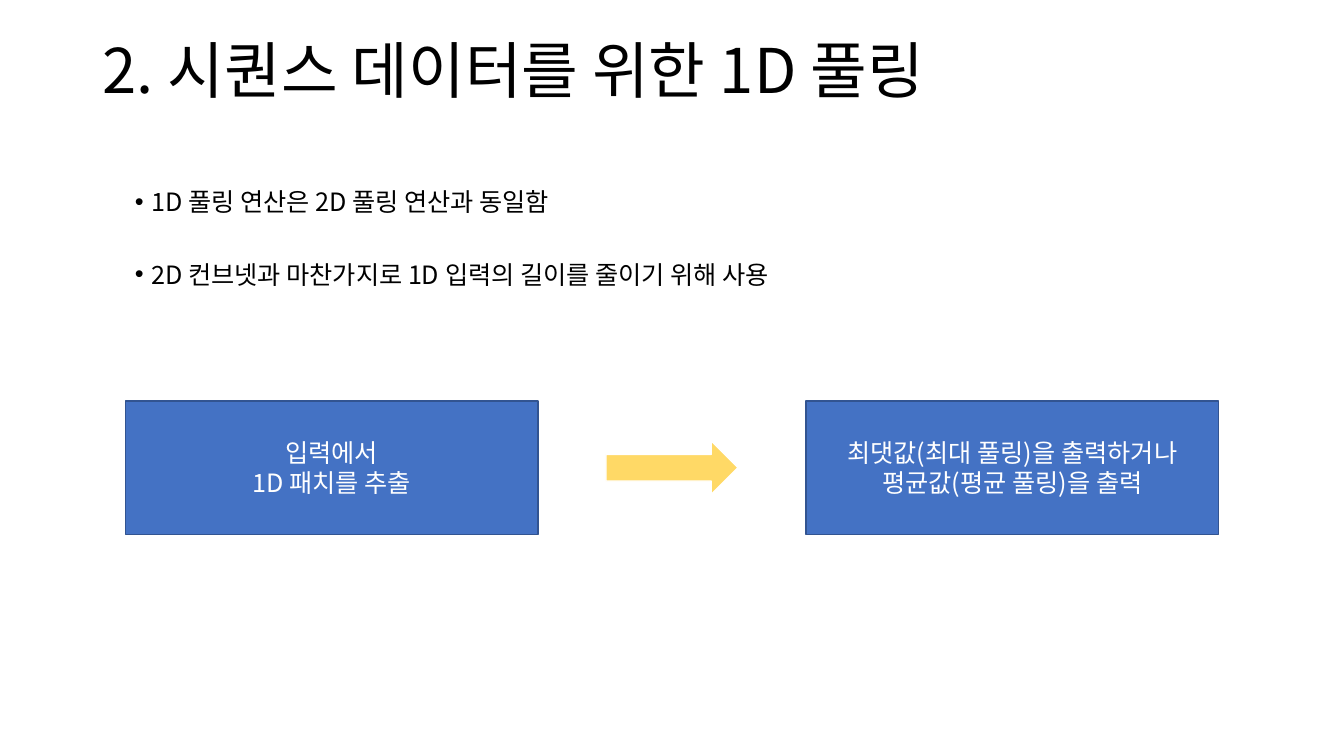
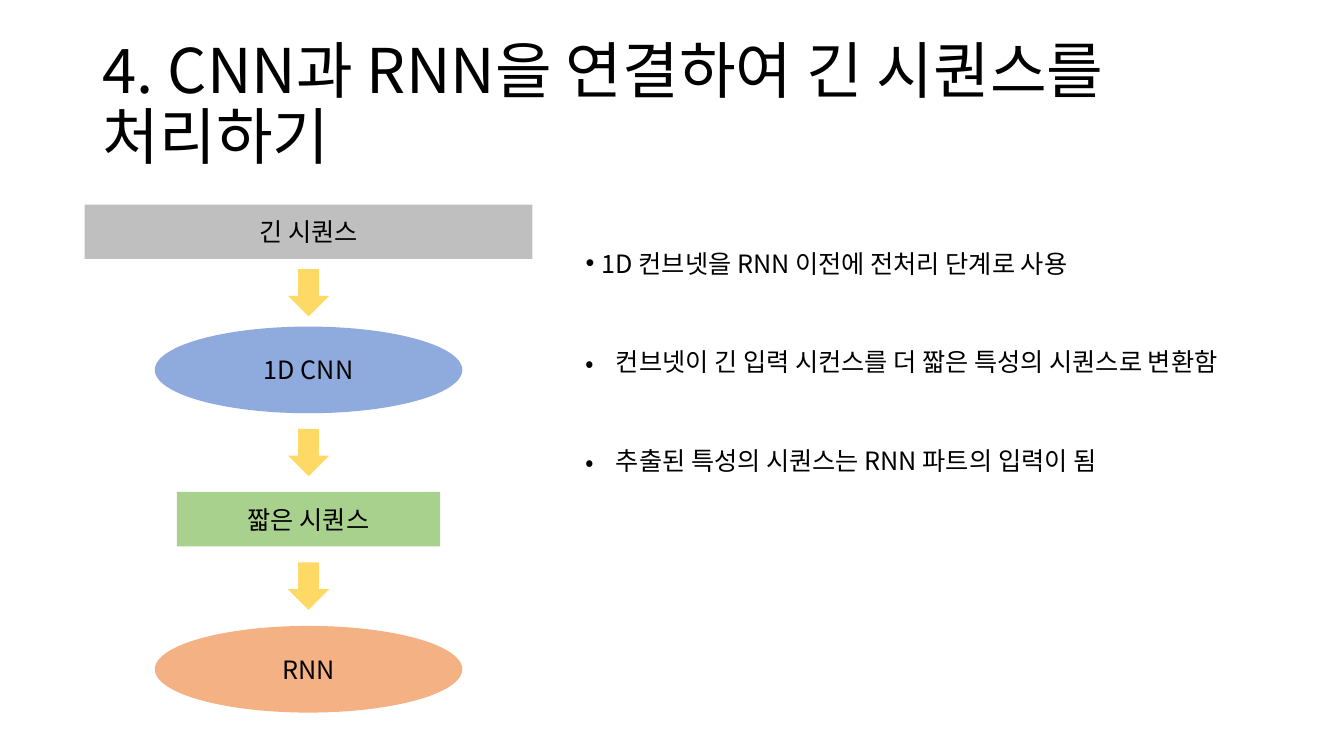
from lxml import etree
from pptx import Presentation
from pptx.dml.color import RGBColor
from pptx.enum.shapes import MSO_SHAPE
from pptx.enum.text import MSO_ANCHOR, PP_ALIGN
from pptx.oxml.ns import qn
from pptx.util import Inches, Pt

# Shared style
FONT = "Noto Sans CJK KR"
BLACK, WHITE, YELLOW = "000000", "FFFFFF", "FFD966"
BLUE, BLUE_EDGE = "4472C4", "325491"
TITLE_SIZE, BODY_SIZE = 44, 18
LINE_HEIGHT = 21.6  # points, one body line
SLIDE_W, SLIDE_H = 13.33, 7.5

# Slide 1 content
POOLING_TITLE = "2. 시퀀스 데이터를 위한 1D 풀링"
# Bullets: (text, bullet font, hanging indent)
POOLING_POINTS = [
    ("1D 풀링 연산은 2D 풀링 연산과 동일함", "Arial", 0.16),
    ("2D 컨브넷과 마찬가지로 1D 입력의 길이를 줄이기 위해 사용", "Arial", 0.16),
]
POOLING_STEPS = [
    ["입력에서", "1D 패치를 추출"],
    ["최댓값(최대 풀링)을 출력하거나 평균값(평균 풀링)을 출력"],
]

# Slide 2 content
CHAIN_TITLE = "4. CNN과 RNN을 연결하여 긴 시퀀스를 처리하기"
CHAIN_POINTS = [
    ("1D 컨브넷을 RNN 이전에 전처리 단계로 사용", "Arial", 0.16),
    ("컨브넷이 긴 입력 시컨스를 더 짧은 특성의 시퀀스로 변환함", FONT, 0.3),
    ("추출된 특성의 시퀀스는 RNN 파트의 입력이 됨", FONT, 0.3),
]
# Stages: (label, outline, fill, width, height, gap above)
CHAIN_STAGES = [
    ("긴 시퀀스", MSO_SHAPE.RECTANGLE, "BFBFBF", 4.44, 0.54, 0),
    ("1D CNN", MSO_SHAPE.OVAL, "8FAADC", 3.05, 0.86, 0.67),
    ("짧은 시퀀스", MSO_SHAPE.RECTANGLE, "A9D18E", 2.61, 0.54, 0.78),
    ("RNN", MSO_SHAPE.OVAL, "F4B183", 3.05, 0.86, 0.79),
]


def rgb(value):
    return RGBColor.from_string(value)


def style(paragraph, size, color):
    font = paragraph.font
    font.size = Pt(size)
    font.color.rgb = rgb(color)
    font.name = FONT
    latin = font._element.find(qn("a:latin"))
    east_asian = etree.Element(qn("a:ea"), typeface=FONT)
    latin.addnext(east_asian)


def add_text_box(slide, left, top, width, height):
    frame = slide.shapes.add_textbox(*map(Inches, (left, top, width, height))).text_frame
    frame.word_wrap = True
    return frame


def add_title(slide, title):
    heading = add_text_box(slide, 0.92, 0.35, 11.5, 1.45).paragraphs[0]
    heading.text = title
    heading.line_spacing = 0.9
    style(heading, TITLE_SIZE, BLACK)


def add_bullets(slide, points, left, top, width, pitch):
    """One list whose lines start `pitch` inches apart."""
    frame = add_text_box(slide, left, top, width, 0.4 + pitch * (len(points) - 1))
    for i, (text, bullet_font, indent) in enumerate(points):
        point = frame.add_paragraph() if i else frame.paragraphs[0]
        point.text = text
        point.line_spacing = Pt(LINE_HEIGHT)
        if i:
            point.space_before = Pt(pitch * 72 - LINE_HEIGHT)
        props = point._p.get_or_add_pPr()
        props.set("marL", str(Inches(indent)))
        props.set("indent", str(-Inches(indent)))
        etree.SubElement(props, qn("a:buFont"), typeface=bullet_font)
        etree.SubElement(props, qn("a:buChar"), char="•")
        style(point, BODY_SIZE, BLACK)


def add_block(slide, outline, center_x, center_y, width, height, fill,
              lines=(), color=BLACK, edge=None):
    """A filled shape placed by its centre, with centred lines of text."""
    block = slide.shapes.add_shape(
        outline, Inches(center_x - width / 2), Inches(center_y - height / 2),
        Inches(width), Inches(height))
    block.shadow.inherit = False
    block.fill.solid()
    block.fill.fore_color.rgb = rgb(fill)
    if edge:
        block.line.color.rgb = rgb(edge)
        block.line.width = Pt(1)
    else:
        block.line.fill.background()
    frame = block.text_frame
    frame.word_wrap = True
    frame.vertical_anchor = MSO_ANCHOR.MIDDLE
    for i, text in enumerate(lines):
        line = frame.add_paragraph() if i else frame.paragraphs[0]
        line.text = text
        line.alignment = PP_ALIGN.CENTER
        style(line, BODY_SIZE, color)


def build_pooling(slide):
    add_title(slide, POOLING_TITLE)
    add_bullets(slide, POOLING_POINTS, 1.24, 1.8, 7.46, 0.72)
    # Two boxes mirrored about the arrow
    middle, row_y, offset = SLIDE_W / 2, 4.64, 3.375
    for side, lines in zip((-1, 1), POOLING_STEPS):
        add_block(slide, MSO_SHAPE.RECTANGLE, middle + side * offset, row_y,
                  4.09, 1.32, BLUE, lines, WHITE, BLUE_EDGE)
    add_block(slide, MSO_SHAPE.RIGHT_ARROW, middle, row_y, 1.31, 0.53, YELLOW, edge=WHITE)


def build_chain(slide):
    add_title(slide, CHAIN_TITLE)
    # Stages run down one axis, with an arrow in the middle of each gap
    axis, y = 3.06, 2.03
    for label, outline, fill, width, height, gap in CHAIN_STAGES:
        if gap:
            add_block(slide, MSO_SHAPE.DOWN_ARROW, axis, y + gap / 2, 0.41, 0.47, YELLOW)
        y += gap
        add_block(slide, outline, axis, y + height / 2, width, height, fill, [label])
        y += height
    add_bullets(slide, CHAIN_POINTS, 5.71, 2.41, 7.3, 0.98)


def main():
    deck = Presentation()
    deck.slide_width, deck.slide_height = Inches(SLIDE_W), Inches(SLIDE_H)
    for build in (build_pooling, build_chain):
        build(deck.slides.add_slide(deck.slide_layouts[6]))
    deck.save("out.pptx")


if __name__ == "__main__":
    main()
